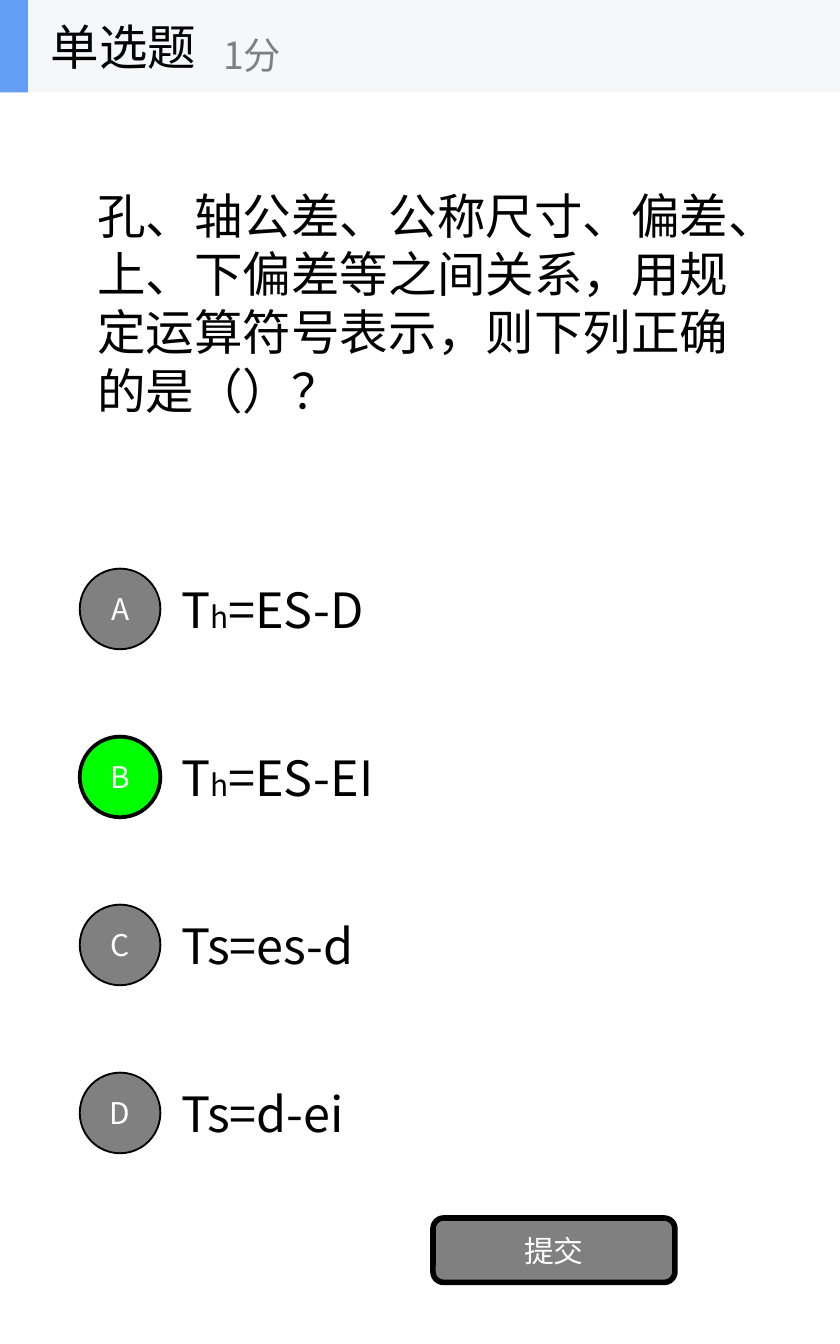
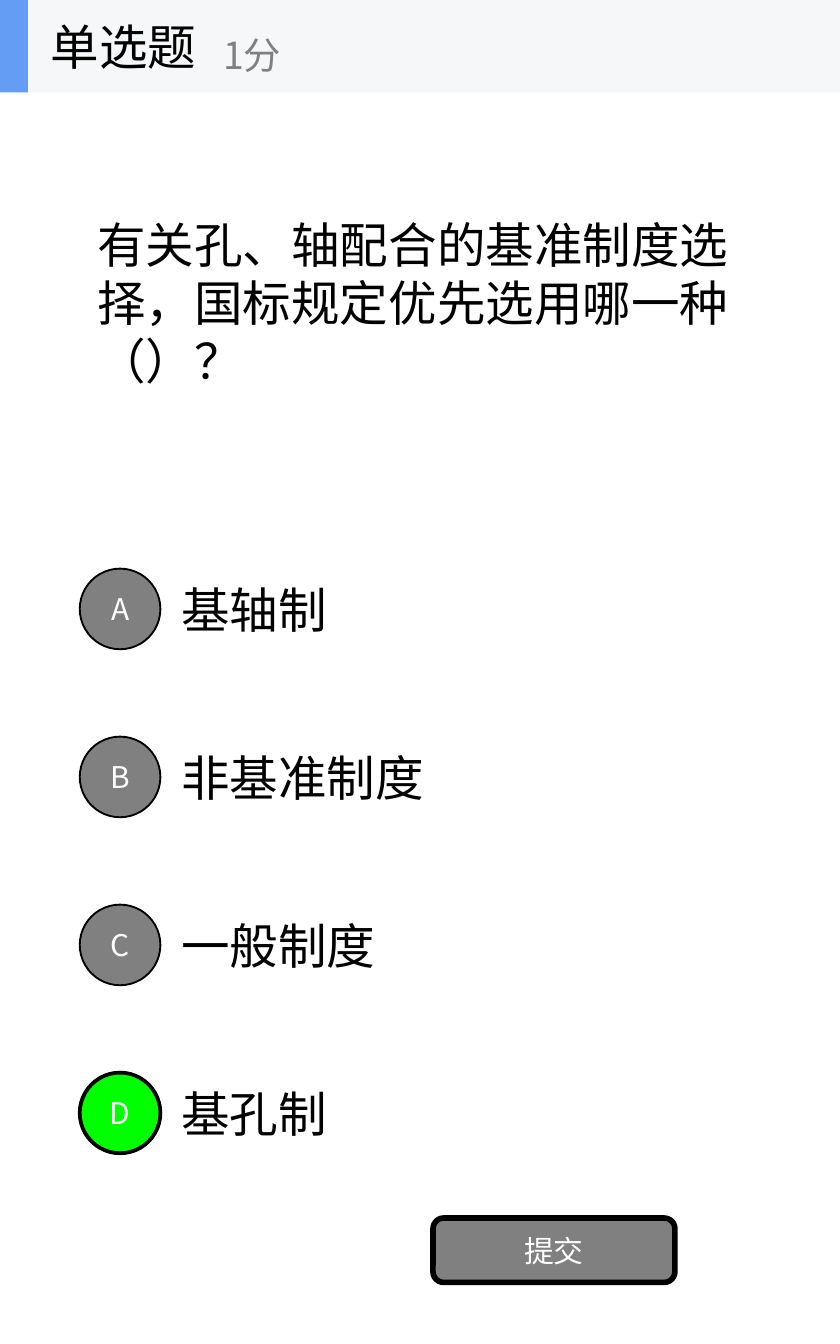
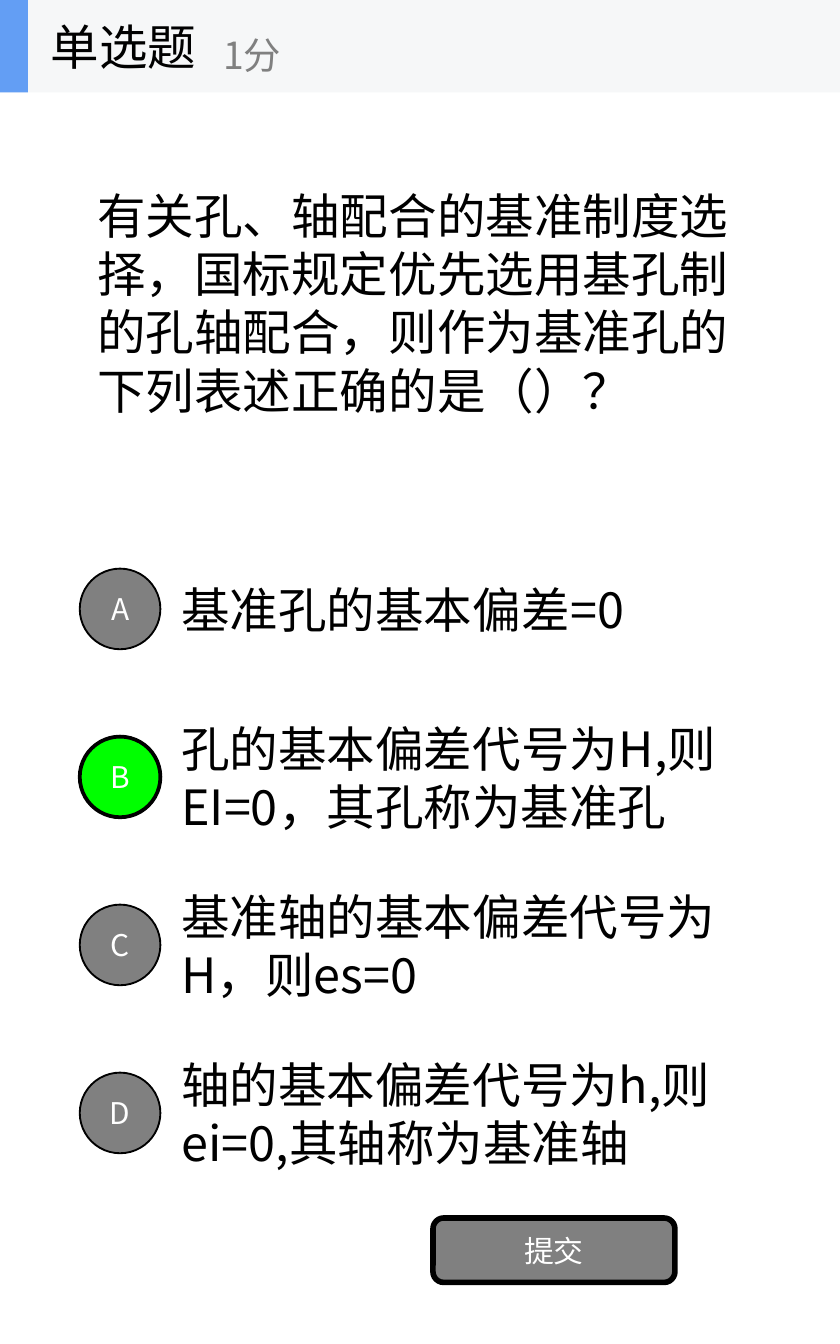
from dataclasses import dataclass

from lxml import etree
from pptx import Presentation
from pptx.dml.color import RGBColor
from pptx.enum import shapes, text
from pptx.oxml import ns
from pptx.util import Pt

KIND, SCORE, SUBMIT = "单选题", "1分", "提交"

# In an option given as a tuple, every second part is set small.
QUESTIONS = [
    {
        "ask": "孔、轴公差、公称尺寸、偏差、上、下偏差等之间关系，用规定运算符号表示，则下列正确的是（）？",
        "options": [("T", "h", "=ES-D"), ("T", "h", "=ES-EI"), "Ts=es-d", "Ts=d-ei"],
        "answer": "B",
    },
    {
        "ask": "有关孔、轴配合的基准制度选择，国标规定优先选用哪一种（）？",
        "options": ["基轴制", "非基准制度", "一般制度", "基孔制"],
        "answer": "D",
    },
    {
        "ask": "有关孔、轴配合的基准制度选择，国标规定优先选用基孔制的孔轴配合，则作为基准孔的下列表述正确的是（）？",
        "options": [
            "基准孔的基本偏差=0",
            "孔的基本偏差代号为H,则EI=0，其孔称为基准孔",
            "基准轴的基本偏差代号为H，则es=0",
            "轴的基本偏差代号为h,则ei=0,其轴称为基准轴",
        ],
        "answer": "B",
    },
]


@dataclass(frozen=True)
class Theme:
    font: str = "Noto Sans CJK SC"
    ink: str = "000000"
    paper: str = "FFFFFF"
    grey: str = "808080"
    correct: str = "00FF00"
    band: str = "F6F7F8"
    accent: str = "639EF4"
    body: int = 26
    score: int = 20
    small: int = 16


T = Theme()
SLIDE_W, SLIDE_H = 450, 720
BAND_H = 49.5
OPTION_TOP, OPTION_H, OPTION_STEP = 292.5, 67.5, 90
BADGE_X, BADGE = 42.75, 43.2


def style_run(r, size, color):
    r.font.name, r.font.size = T.font, Pt(size)
    r.font.color.rgb = RGBColor.from_string(color)
    etree.SubElement(r.font._element, ns.qn("a:ea"), typeface=T.font)


def add_text(parent, box, content, size=T.body, color=T.ink, wrap=True):
    sp = parent.add_textbox(*map(Pt, box))
    tf = sp.text_frame
    tf.word_wrap, tf.vertical_anchor = wrap, text.MSO_ANCHOR.MIDDLE
    parts = (content,) if isinstance(content, str) else content
    for i, part in enumerate(parts):
        r = tf.paragraphs[0].add_run()
        r.text = part
        style_run(r, T.small if i % 2 else size, color)


def add_block(parent, kind, box, fill, line=0, label=None):
    sp = parent.add_shape(kind, *map(Pt, box))
    sp.shadow.inherit = False
    sp.fill.solid()
    sp.fill.fore_color.rgb = RGBColor.from_string(fill)
    if line:
        sp.line.color.rgb = RGBColor.from_string(T.ink)
        sp.line.width = Pt(line)
    else:
        sp.line.fill.background()
    if label:
        tf = sp.text_frame
        tf.margin_left = tf.margin_right = tf.margin_top = tf.margin_bottom = 0
        tf.vertical_anchor = text.MSO_ANCHOR.MIDDLE
        p = tf.paragraphs[0]
        p.text, p.alignment = label, text.PP_ALIGN.CENTER
        style_run(p.runs[0], T.small, T.paper)


def add_header(s):
    group = s.shapes.add_group_shape().shapes
    rect = shapes.MSO_SHAPE.RECTANGLE
    add_block(group, rect, (0, 0, SLIDE_W, BAND_H), T.band)
    add_block(group, rect, (0, 0, 15, BAND_H), T.accent)
    add_text(group, (20, 0, 150, BAND_H), KIND, wrap=False)
    add_text(group, (112.5, 9, 180, 40.5), SCORE, T.score, T.grey, wrap=False)


def add_question(prs, question):
    s = prs.slides.add_slide(prs.slide_layouts[6])
    s.background.fill.solid()
    s.background.fill.fore_color.rgb = RGBColor.from_string(T.paper)
    add_text(s.shapes, (45, BAND_H, 360, 225), question["ask"])
    tops = [OPTION_TOP + i * OPTION_STEP for i in range(len(question["options"]))]
    for top, option in zip(tops, question["options"]):
        add_text(s.shapes, (90, top, 315, OPTION_H), option)
    for top, letter in zip(tops, "ABCD"):
        right = letter == question["answer"]
        add_block(s.shapes, shapes.MSO_SHAPE.OVAL,
                  (BADGE_X, top + (OPTION_H - BADGE) / 2, BADGE, BADGE),
                  T.correct if right else T.grey, 2 if right else 1, letter)
    add_block(s.shapes, shapes.MSO_SHAPE.ROUNDED_RECTANGLE,
              (232, 652.5, 129.6, 34.5), T.grey, 3, SUBMIT)
    add_header(s)


def main():
    prs = Presentation()
    prs.slide_width, prs.slide_height = Pt(SLIDE_W), Pt(SLIDE_H)
    for question in QUESTIONS:
        add_question(prs, question)
    prs.save("out.pptx")


if __name__ == "__main__":
    main()
